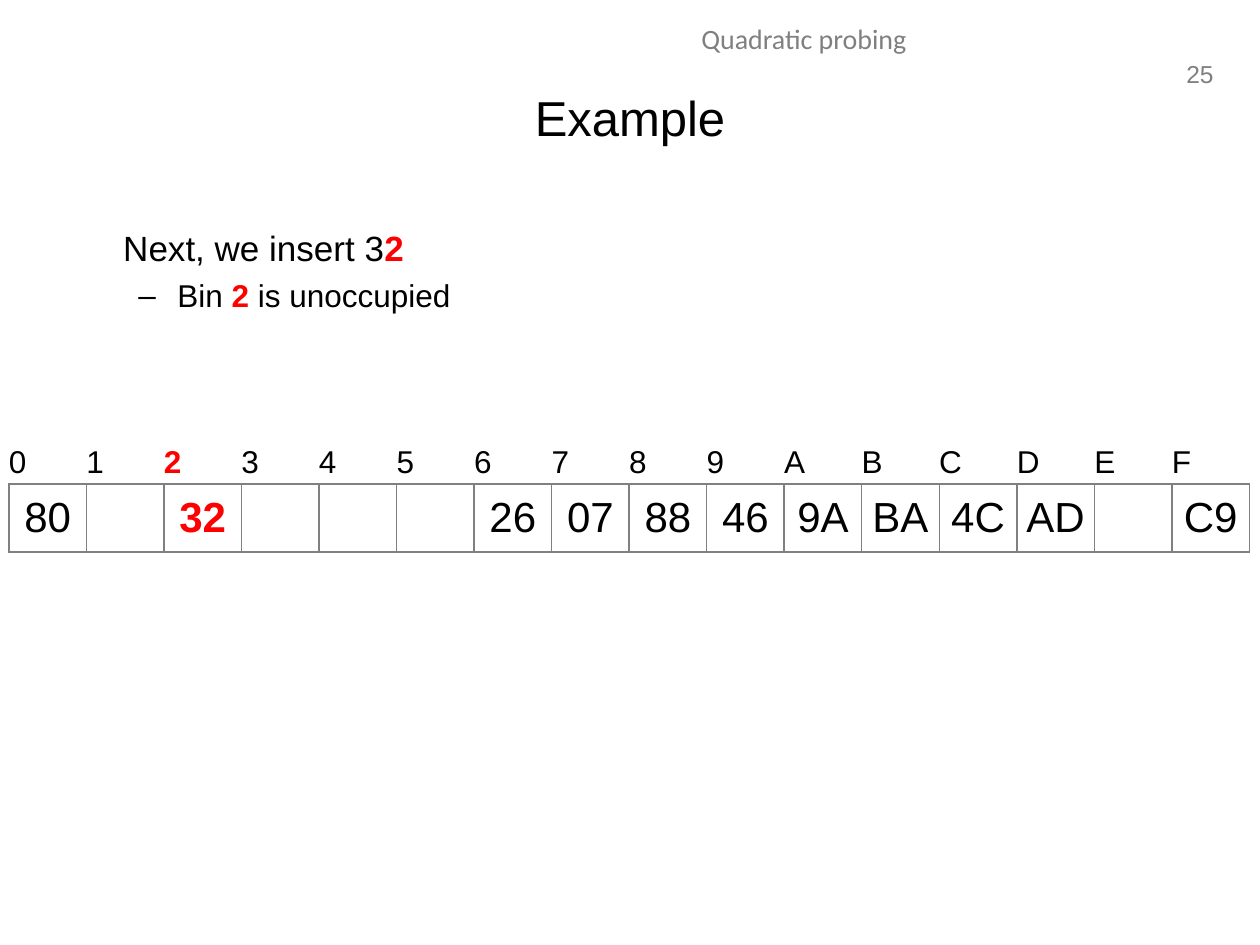
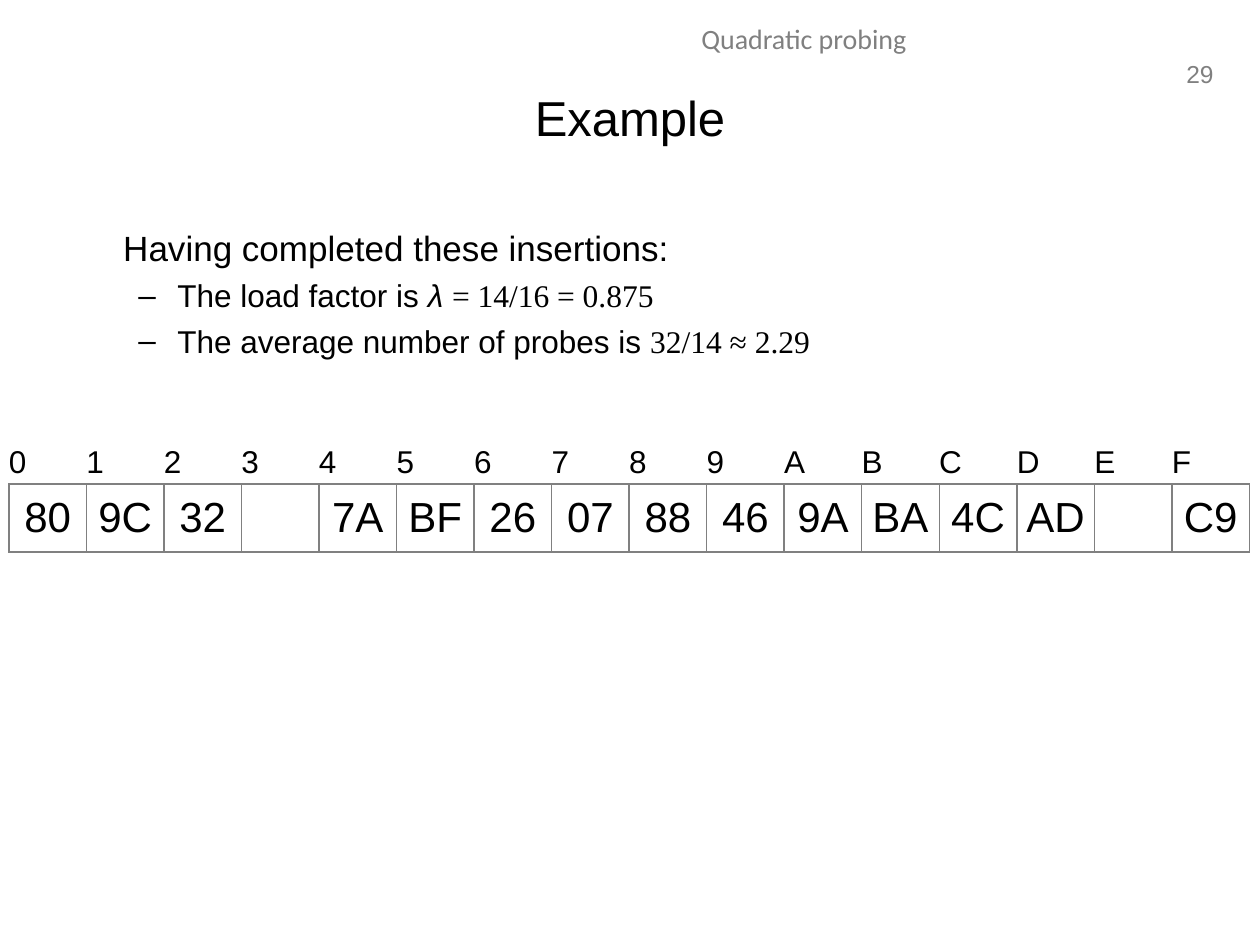
from pptx import Presentation
from pptx.dml.color import RGBColor
from pptx.enum.text import MSO_ANCHOR as Anchor, PP_ALIGN as Align
from pptx.oxml.ns import qn
from pptx.util import Inches, Pt
from lxml.etree import SubElement

BLACK = RGBColor(0, 0, 0)
GRAY = RGBColor(0x80, 0x80, 0x80)
RED = RGBColor(0xFF, 0, 0)
SANS, SERIF, HEADER_FONT = "Arial", "Times New Roman", "Calibri"
WIDTH, HEIGHT = Inches(10), Inches(7.5)
BINS = "0123456789ABCDEF"
PLAIN_GRID = "{2D5ABB26-0587-4C30-8999-92F81FD0307C}"

KEY = {"color": RED, "bold": True}
MATH = {"name": SERIF}
SYMBOL = {"italic": True}


def across(percent):
    return int(WIDTH * percent / 100)


def down(percent):
    return int(HEIGHT * percent / 100)


def place(left, top, width, height):
    return across(left), down(top), across(width), down(height)


def format_run(r, size, name=SANS, color=BLACK, bold=False, italic=False):
    font = r.font
    font.size, font.name, font.bold, font.italic = Pt(size), name, bold, italic
    font.color.rgb = color


def add_runs(p, parts, size):
    for text, style in parts:
        r = p.add_run()
        r.text = text
        format_run(r, size, **style)


def add_text(s, area, text, align, size, **style):
    tf = s.shapes.add_textbox(*place(*area)).text_frame
    tf.word_wrap = True
    p = tf.paragraphs[0]
    p.alignment = align
    add_runs(p, [(text, style)], size)


def add_title(s, text):
    sp = s.shapes.title
    sp.left, sp.top, sp.width, sp.height = place(5, 4, 90, 16.67)
    tf = sp.text_frame
    tf.text = text
    tf.vertical_anchor = Anchor.MIDDLE
    p = tf.paragraphs[0]
    p.alignment = Align.CENTER
    format_run(p.runs[0], 28)


def indent(p, left, first):
    pPr = p._p.get_or_add_pPr()
    pPr.set("marL", str(Inches(left)))
    pPr.set("indent", str(Inches(first)))
    return pPr


def add_body(s, lead, bullets):
    tf = s.shapes.add_textbox(*place(5, 23.33, 90, 66)).text_frame
    tf.word_wrap = True
    p = tf.paragraphs[0]
    indent(p, 0.38, 0)
    add_runs(p, lead, 20)
    for parts in bullets:
        p = tf.add_paragraph()
        p.level = 1
        pPr = indent(p, 0.81, -0.31)
        SubElement(pPr, qn("a:buFont")).set("typeface", SANS)
        SubElement(pPr, qn("a:buChar")).set("char", "–")
        p.space_before = Pt(4.3)
        add_runs(p, parts, 18)


def set_borders(cell, sides):
    tcPr = cell._tc.get_or_add_tcPr()
    for side in sides:
        ln = SubElement(tcPr, qn("a:ln" + side), w=str(Pt(1)))
        fill = SubElement(ln, qn("a:solidFill"))
        SubElement(fill, qn("a:srgbClr"), val=str(GRAY))


def fill_cell(cell, text, size, align, sides, style):
    cell.margin_left = cell.margin_right = cell.margin_top = cell.margin_bottom = 0
    cell.vertical_anchor = Anchor.MIDDLE
    set_borders(cell, sides)
    cell.fill.background()
    if text:
        p = cell.text_frame.paragraphs[0]
        p.alignment = align
        add_runs(p, [(text, style)], size)


def add_hash_table(s, entries, key_bin=None):
    frame = s.shapes.add_table(2, len(BINS), *place(0.7, 46.8, 98.5, 11.6))
    table = frame.table
    table.first_row = table.horz_banding = False
    table._tbl.tblPr.find(qn("a:tableStyleId")).text = PLAIN_GRID
    table.rows[0].height, table.rows[1].height = down(4.4), down(7.2)
    for i, label in enumerate(BINS):
        style = KEY if label == key_bin else {}
        table.columns[i].width = across(98.5 / len(BINS))
        fill_cell(table.cell(0, i), label, 18, Align.LEFT, "B", style)
        fill_cell(table.cell(1, i), entries.get(label), 24, Align.CENTER, "LRTB", style)


def add_example(prs, number, lead, bullets, entries, key_bin=None):
    s = prs.slides.add_slide(prs.slide_layouts[5])
    add_text(s, (92.9, 5.6, 4.4, 4.4), str(number), Align.RIGHT, 14, color=GRAY)
    add_text(s, (31.9, 1.6, 63.8, 5.33), "Quadratic probing", Align.CENTER, 16,
             name=HEADER_FONT, color=GRAY)
    add_body(s, lead, bullets)
    add_title(s, "Example")
    add_hash_table(s, entries, key_bin)


def main():
    prs = Presentation()
    prs.slide_width, prs.slide_height = WIDTH, HEIGHT
    entries = {"0": "80", "2": "32", "6": "26", "7": "07", "8": "88", "9": "46",
               "A": "9A", "B": "BA", "C": "4C", "D": "AD", "F": "C9"}
    add_example(prs, 25,
                [("Next, we insert 3", {}), ("2", KEY)],
                [[("Bin ", {}), ("2", KEY), (" is unoccupied", {})]],
                entries, key_bin="2")
    add_example(prs, 29,
                [("Having completed these insertions:", {})],
                [[("The load factor is ", {}), ("λ ", SYMBOL), ("= 14/16 = 0.875", MATH)],
                 [("The average number of probes is ", {}), ("32/14 ≈ 2.29", MATH)]],
                {**entries, "1": "9C", "4": "7A", "5": "BF"})
    prs.save("out.pptx")


if __name__ == "__main__":
    main()
